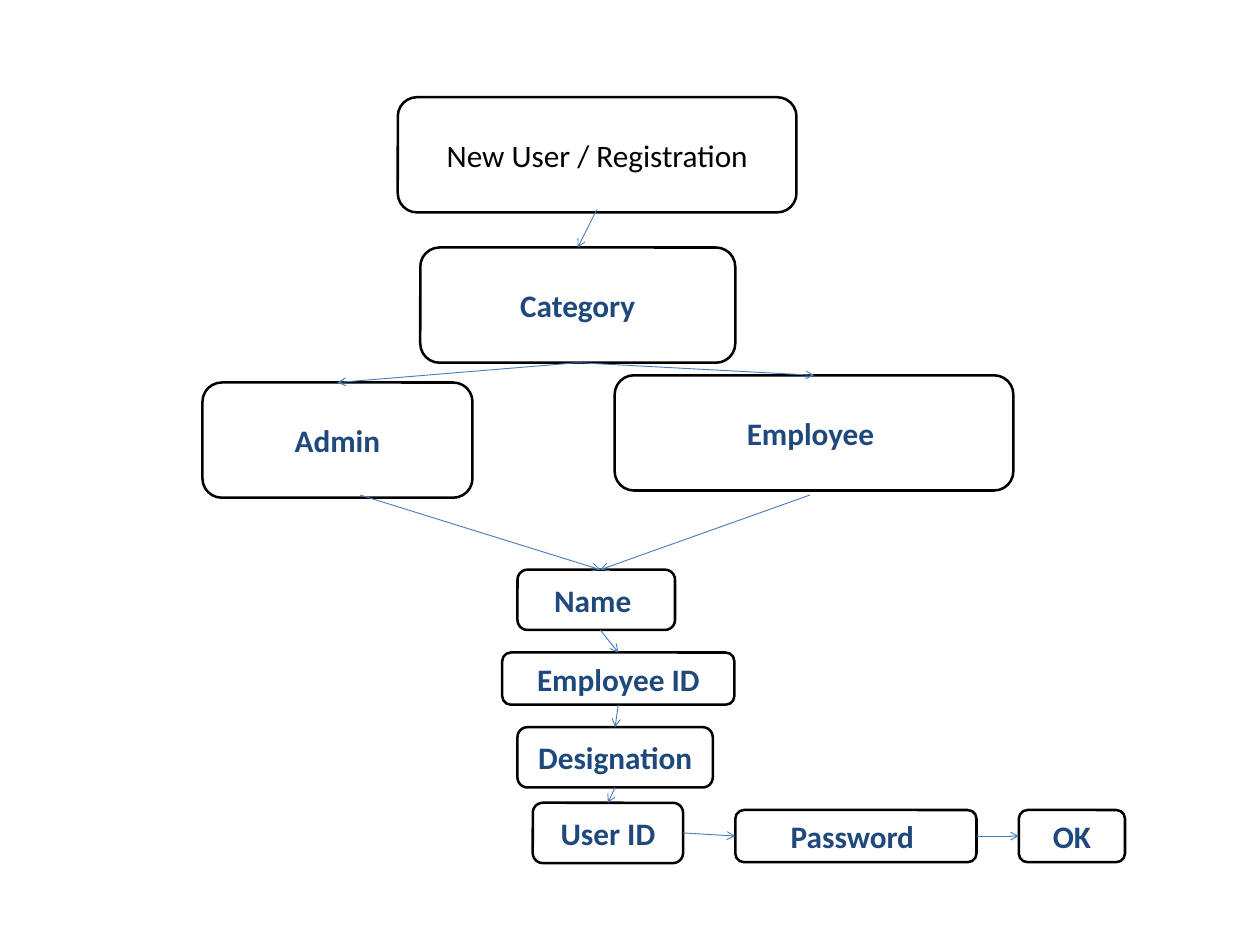
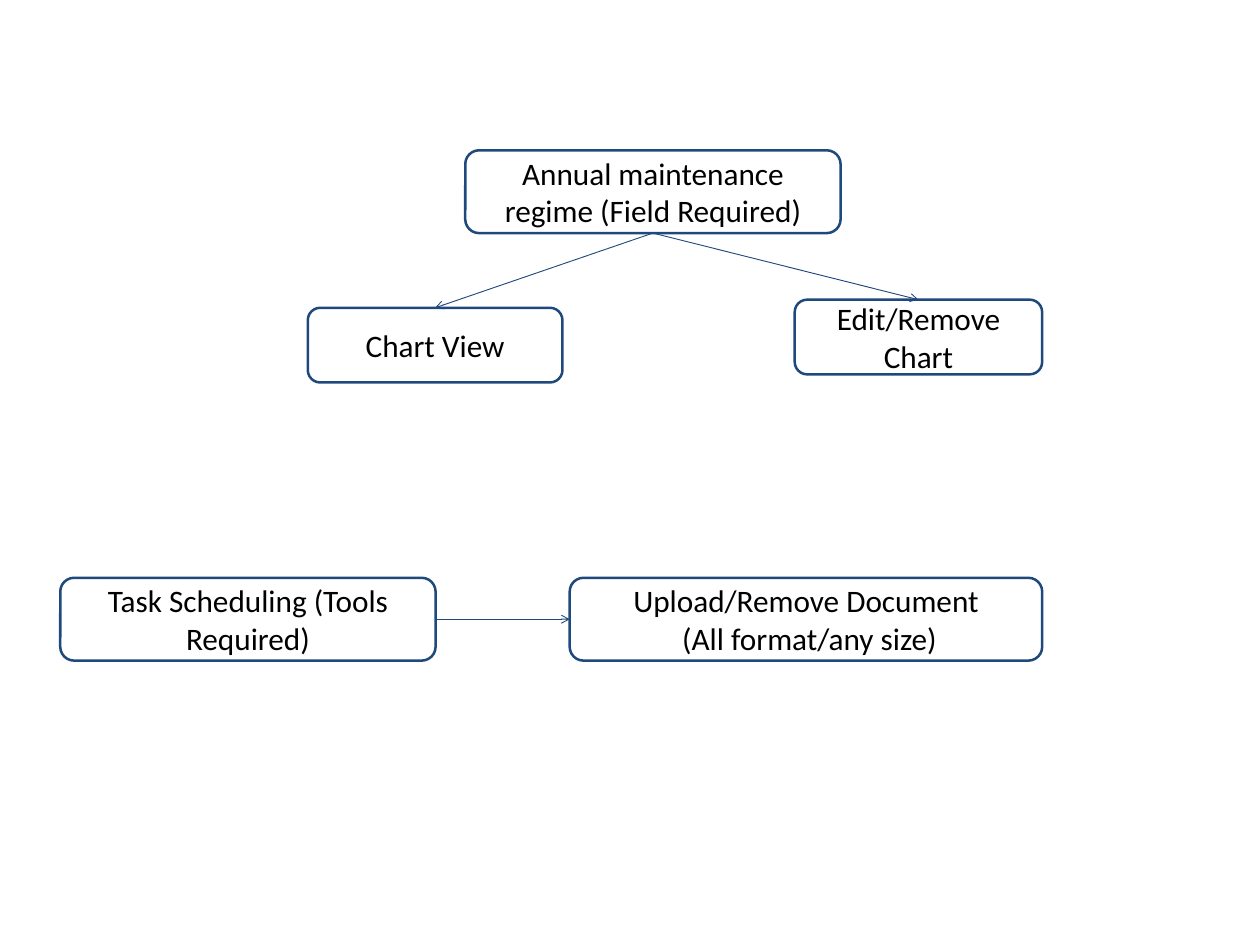
from dataclasses import dataclass

from pptx import Presentation
from pptx import util as u
from pptx.dml.color import RGBColor
from pptx.enum import shapes, text
from pptx.oxml.ns import qn
from lxml import etree


@dataclass(frozen=True)
class Theme:
    font: str = "Calibri"
    size: int = 25
    white: str = "FFFFFF"
    black: str = "000000"
    navy: str = "1F497D"
    blue: str = "4A7EBB"
    box_line: float = 2
    arrow_line: float = 0.75


THEME = Theme()
TOP, LEFT, BOTTOM, RIGHT = range(4)
TALL, LOW, SLIM = 1.28, 0.67, 0.58  # registration box heights
WIDE, SHORT = 0.92, 0.83  # maintenance box heights

# Boxes: key -> (text, left, top, width, height).
# Arrows: (start, end), each a (key, side) pair or a free (x, y) point.
NAME_TOP = (6.67, 6.33)
REGISTRATION = {
    "outline": THEME.black,
    "arrow": THEME.blue,
    "font": THEME.navy,
    "bold": True,
    "plain": {"register"},
    "boxes": {
        "register": ("New User / Registration", 4.42, 1.08, 4.43, TALL),
        "category": ("Category", 4.67, 2.75, 3.5, TALL),
        "admin": ("Admin", 2.25, 4.25, 3, TALL),
        "employee": ("Employee ", 6.83, 4.17, 4.43, TALL),
        "name": ("Name ", 5.75, 6.33, 1.75, LOW),
        "employee id": ("Employee ID", 5.58, 7.25, 2.58, SLIM),
        "designation": ("Designation", 5.75, 8.08, 2.17, LOW),
        "user id": ("User ID", 5.92, 8.92, 1.67, LOW),
        "password": ("Password ", 8.17, 9, 2.68, SLIM),
        "ok": ("OK", 11.32, 9, 1.18, SLIM),
    },
    "arrows": [
        ((6.63, 2.33), ("category", TOP)),
        (("category", BOTTOM), ("admin", TOP)),
        (("category", BOTTOM), ("employee", TOP)),
        ((4, 5.5), NAME_TOP),
        ((9, 5.5), NAME_TOP),
        ((6.67, 7), ("employee id", TOP)),
        (("employee id", BOTTOM), ("designation", TOP)),
        (("designation", BOTTOM), ("user id", TOP)),
        (("user id", RIGHT), ("password", LEFT)),
        (("password", RIGHT), ("ok", LEFT)),
    ],
}
MAINTENANCE = {
    "outline": THEME.navy,
    "arrow": THEME.navy,
    "font": THEME.black,
    "bold": False,
    "plain": set(),
    "boxes": {
        "regime": ("Annual maintenance regime (Field Required)", 5.17, 1.67, 4.17, WIDE),
        "view": ("Chart View", 3.42, 3.42, 2.83, SHORT),
        "edit": ("Edit/Remove Chart", 8.83, 3.33, 2.75, SHORT),
        "tasks": ("Task Scheduling (Tools Required)", 0.67, 6.42, 4.17, WIDE),
        "upload": ("Upload/Remove Document\n (All format/any size)", 6.33, 6.42, 5.25, WIDE),
    },
    "arrows": [
        (("regime", BOTTOM), ("view", TOP)),
        (("regime", BOTTOM), ("edit", TOP)),
        (("tasks", RIGHT), ("upload", LEFT)),
    ],
}


def color(value):
    return RGBColor.from_string(value)


def add_box(slide, label, place, outline, font_color, bold):
    box = slide.shapes.add_shape(
        shapes.MSO_SHAPE.ROUNDED_RECTANGLE, *map(u.Inches, place))
    box.shadow.inherit = False
    box.fill.solid()
    box.fill.fore_color.rgb = color(THEME.white)
    box.line.color.rgb = color(outline)
    box.line.width = u.Pt(THEME.box_line)
    frame = box.text_frame
    frame.word_wrap = True
    frame.vertical_anchor = text.MSO_ANCHOR.MIDDLE
    frame.margin_left = frame.margin_right = u.Inches(0.14)
    frame.margin_top = frame.margin_bottom = u.Inches(0.07)
    frame.text = label
    for para in frame.paragraphs:
        para.alignment = text.PP_ALIGN.CENTER
        for span in para.runs:
            span.font.name = THEME.font
            span.font.size = u.Pt(THEME.size)
            span.font.bold = bold
            span.font.color.rgb = color(font_color)
    return box


def add_arrow(slide, boxes, start, end, line_color):
    """Draw an arrow, joining each end that names a box side."""
    points = [(0, 0) if point[0] in boxes else point for point in (start, end)]
    arrow = slide.shapes.add_connector(
        shapes.MSO_CONNECTOR.STRAIGHT, *(u.Inches(n) for point in points for n in point))
    for point, join in ((start, arrow.begin_connect), (end, arrow.end_connect)):
        if point[0] in boxes:
            join(boxes[point[0]], point[1])
    arrow.line.color.rgb = color(line_color)
    arrow.line.width = u.Pt(THEME.arrow_line)
    properties = arrow._element.spPr
    etree.SubElement(properties.find(qn("a:ln")), qn("a:tailEnd"), type="arrow")
    etree.SubElement(properties, qn("a:effectLst"))


def add_flow(deck, flow):
    slide = deck.slides.add_slide(deck.slide_layouts[6])
    boxes = {}
    for key, (label, *place) in flow["boxes"].items():
        plain = key in flow["plain"]
        boxes[key] = add_box(
            slide, label, place, flow["outline"],
            THEME.black if plain else flow["font"], flow["bold"] and not plain)
    for start, end in flow["arrows"]:
        add_arrow(slide, boxes, start, end, flow["arrow"])


def main():
    deck = Presentation()
    deck.slide_width = u.Inches(14)
    deck.slide_height = u.Inches(10.5)
    for flow in (REGISTRATION, MAINTENANCE):
        add_flow(deck, flow)
    deck.save("out.pptx")


if __name__ == "__main__":
    main()
